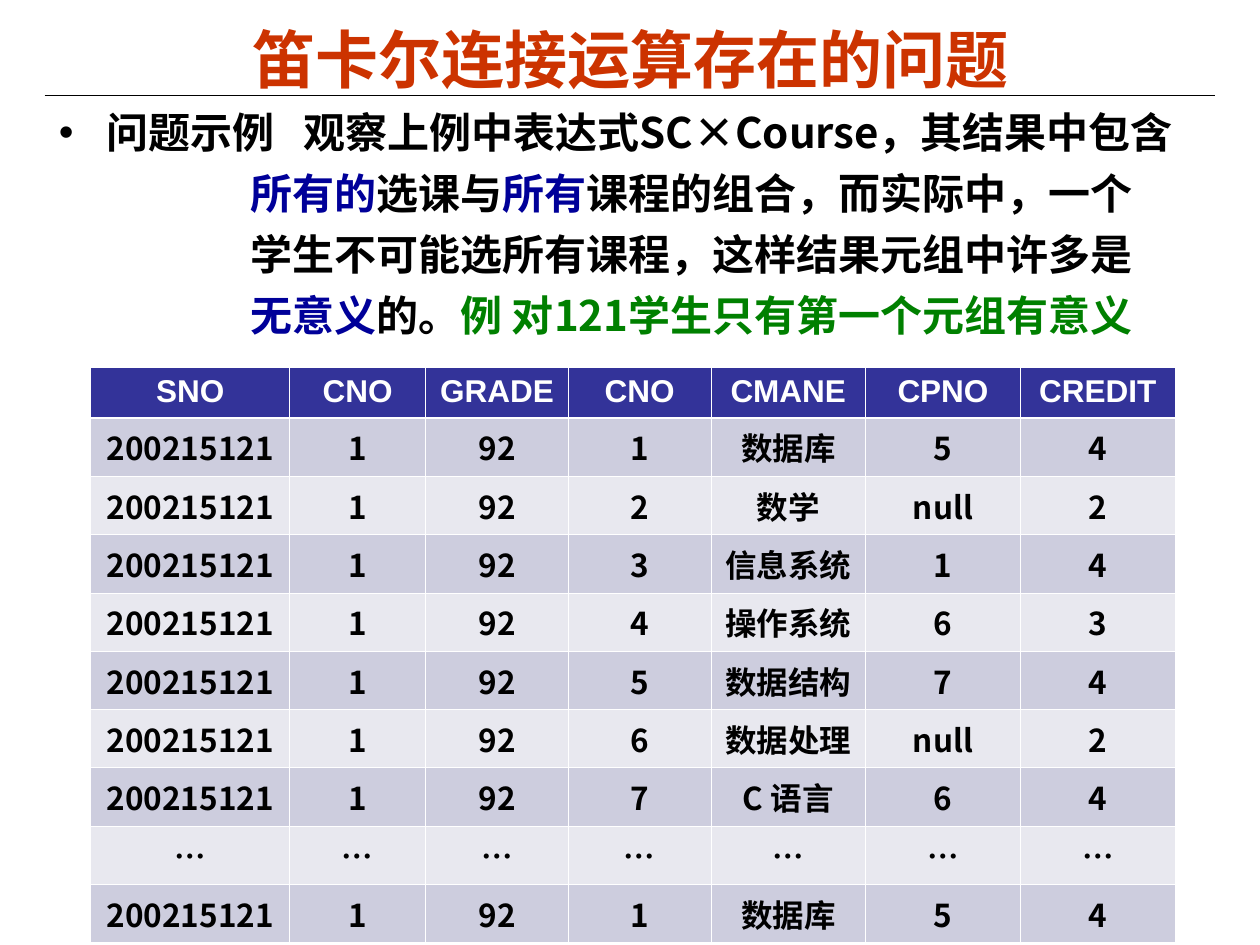
from dataclasses import dataclass

from lxml.etree import SubElement
from pptx import Presentation
from pptx.dml.color import RGBColor
from pptx.enum.shapes import MSO_CONNECTOR
from pptx.enum.text import MSO_ANCHOR, MSO_AUTO_SIZE, PP_ALIGN
from pptx.oxml.ns import qn
from pptx.util import Cm, Pt

BLACK = RGBColor(0x00, 0x00, 0x00)
WHITE = RGBColor(0xFF, 0xFF, 0xFF)
RED = RGBColor(0xCC, 0x33, 0x00)
BLUE = RGBColor(0x00, 0x00, 0x99)
GREEN = RGBColor(0x00, 0x80, 0x00)
HEADER_FILL = RGBColor(0x33, 0x33, 0x99)
ROW_FILLS = (RGBColor(0xCD, 0xCD, 0xDE), RGBColor(0xE8, 0xE8, 0xEF))

CJK_FONT = "Noto Sans CJK SC"
HEADER_FONT = "Arial"


@dataclass
class Piece:
    text: str
    color: RGBColor = BLACK
    spacing: float = 0


TITLE = "笛卡尔连接运算存在的问题"
EXAMPLE_LINES = [
    [Piece("问题示例"), Piece(" ", spacing=11.3),
     Piece("观察上例中表达式SC×Course，其结果中包含")],
    [Piece("所有的", BLUE), Piece("选课与"), Piece("所有", BLUE),
     Piece("课程的组合，而实际中，一个")],
    [Piece("学生不可能选所有课程，这样结果元组中许多是")],
    [Piece("无意义", BLUE), Piece("的。"),
     Piece("例 对121学生只有第一个元组有意义", GREEN)],
]

HEADERS = ["SNO", "CNO", "GRADE", "CNO", "CMANE", "CPNO", "CREDIT"]
COLUMN_WIDTHS = [4.01, 2.74, 2.88, 2.87, 3.12, 3.12, 3.12]
COURSES = [
    ("1", "数据库", "5", "4"),
    ("2", "数学", "null", "2"),
    ("3", "信息系统", "1", "4"),
    ("4", "操作系统", "6", "3"),
    ("5", "数据结构", "7", "4"),
    ("6", "数据处理", "null", "2"),
    ("7", "C 语言", "6", "4"),
]
SELECTION = ("200215121", "1", "92")
PRODUCT = [SELECTION + course for course in COURSES]
ROWS = [HEADERS, *PRODUCT, ["…"] * len(HEADERS), PRODUCT[0]]
ROW_HEIGHTS = [1.01] + [1.175] * (len(ROWS) - 1)


def add_run(p, text: str, *, size: float, color: RGBColor = BLACK,
            font: str = CJK_FONT, spacing: float = 0) -> None:
    r = p.add_run()
    r.text = text
    r.font.size = Pt(size)
    r.font.bold = True
    r.font.name = font
    r.font.color.rgb = color
    rPr = r._r.get_or_add_rPr()
    SubElement(rPr, qn("a:ea")).set("typeface", font)
    if spacing:
        rPr.set("spc", str(round(spacing * 100)))


def set_indent(p, left: float, first: float, bullet: str = "") -> None:
    pPr = p._p.get_or_add_pPr()
    pPr.set("marL", str(Cm(left)))
    pPr.set("indent", str(Cm(first)))
    if bullet:
        clr = SubElement(SubElement(pPr, qn("a:buClr")), qn("a:srgbClr"))
        clr.set("val", str(BLACK))
        SubElement(pPr, qn("a:buFont")).set("typeface", HEADER_FONT)
        SubElement(pPr, qn("a:buChar")).set("char", bullet)


def set_borders(cell, **widths: float) -> None:
    tcPr = cell._tc.get_or_add_tcPr()
    for side in "LRTB":
        ln = SubElement(tcPr, qn(f"a:ln{side}"))
        ln.set("w", str(Pt(widths.get(side, 0.45))))
        clr = SubElement(SubElement(ln, qn("a:solidFill")), qn("a:srgbClr"))
        clr.set("val", str(WHITE))


def add_title(s) -> None:
    sp = s.shapes.title
    sp.left, sp.top, sp.width, sp.height = Cm(1.27), Cm(0.28), Cm(22.86), Cm(1.8)
    tf = sp.text_frame
    tf.auto_size = MSO_AUTO_SIZE.NONE
    tf.vertical_anchor = MSO_ANCHOR.MIDDLE
    p = tf.paragraphs[0]
    p.alignment = PP_ALIGN.CENTER
    add_run(p, TITLE, size=36, color=RED)


def add_title_rule(s) -> None:
    line = s.shapes.add_connector(MSO_CONNECTOR.STRAIGHT,
                                  Cm(0.9), Cm(1.93), Cm(24.5), Cm(1.93))
    line.line.color.rgb = BLACK
    line.line.width = Pt(0.75)
    SubElement(line._element.spPr, qn("a:effectLst"))


def add_example(s) -> None:
    sp = s.shapes.add_textbox(Cm(0.94), Cm(2.03), Cm(23.5), Cm(5))
    tf = sp.text_frame
    tf.word_wrap = True
    for i, pieces in enumerate(EXAMPLE_LINES):
        if i == 0:
            p = tf.paragraphs[0]
            set_indent(p, 0.95, -0.95, bullet="•")
        else:
            p = tf.add_paragraph()
            set_indent(p, 3.86, 0)
            p.space_before = Pt(6)
        for piece in pieces:
            add_run(p, piece.text, size=24, color=piece.color,
                    spacing=piece.spacing)


def add_product_table(s) -> None:
    frame = s.shapes.add_table(len(ROWS), len(HEADERS), Cm(1.83), Cm(7.41),
                               Cm(sum(COLUMN_WIDTHS)), Cm(sum(ROW_HEIGHTS)))
    table = frame.table
    for column, width in zip(table.columns, COLUMN_WIDTHS):
        column.width = Cm(width)
    for i, (values, height) in enumerate(zip(ROWS, ROW_HEIGHTS)):
        table.rows[i].height = Cm(height)
        header = i == 0
        edges = {0: {"B": 1.47}, 1: {"T": 1.47}}.get(i, {})
        for j, value in enumerate(values):
            cell = table.cell(i, j)
            set_borders(cell, **edges)
            cell.fill.solid()
            cell.fill.fore_color.rgb = HEADER_FILL if header else ROW_FILLS[(i - 1) % 2]
            p = cell.text_frame.paragraphs[0]
            p.alignment = PP_ALIGN.CENTER
            add_run(p, value, size=18, color=WHITE if header else BLACK,
                    font=HEADER_FONT if header else CJK_FONT)


def main() -> None:
    prs = Presentation()
    prs.slide_width, prs.slide_height = Cm(25.4), Cm(19.05)
    s = prs.slides.add_slide(prs.slide_layouts[5])
    add_title(s)
    add_title_rule(s)
    add_example(s)
    add_product_table(s)
    prs.save("out.pptx")


if __name__ == "__main__":
    main()
